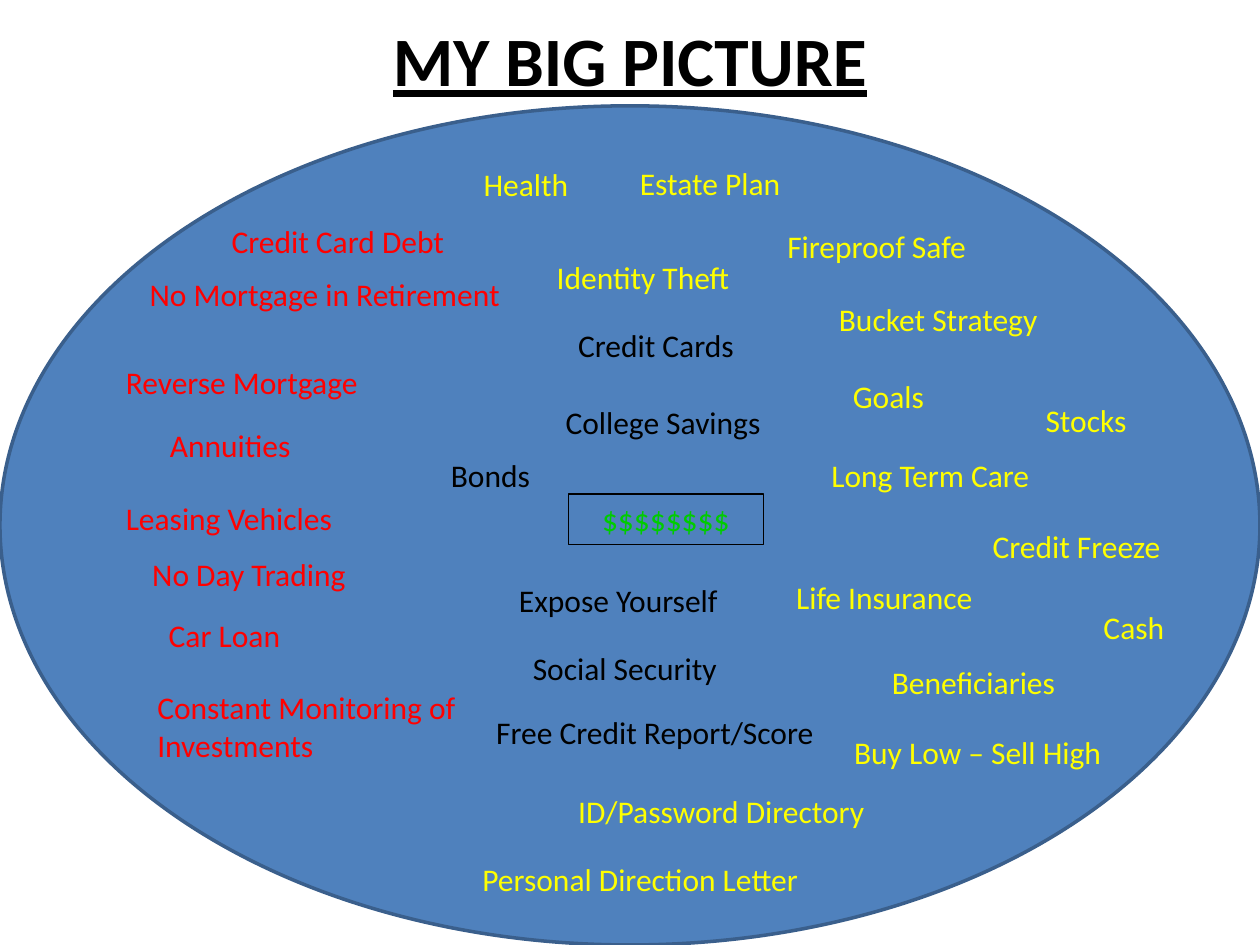
"""Build the slide MY BIG PICTURE: financial topics scattered over a large ellipse."""
from pptx import Presentation
from pptx.dml.color import RGBColor
from pptx.enum.shapes import MSO_SHAPE
from pptx.enum.text import MSO_ANCHOR, MSO_AUTO_SIZE, PP_ALIGN
from pptx.util import Inches, Pt

THEME = {
    "font": "Calibri",
    "title_size": 39.6,
    "topic_size": 18,
    "ink": RGBColor.from_string("000000"),
    "ellipse": RGBColor.from_string("4F81BD"),
    "ellipse_edge": RGBColor.from_string("3A5F8C"),
    "avoid": RGBColor.from_string("FF0000"),
    "plan": RGBColor.from_string("FFFF00"),
    "money": RGBColor.from_string("00CC00"),
}
LINE_HEIGHT = 0.4

TOPICS = {
    "avoid": [
        ("Credit Card Debt", 1.74, 1.71, 2.19),
        ("No Mortgage in Retirement", 1.09, 2.13, 3.17),
        ("Reverse Mortgage", 0.9, 2.83, 2.19),
        ("Annuities", 1.25, 3.33, 1.25),
        ("Leasing Vehicles", 0.9, 3.91, 1.93),
        ("No Day Trading", 1.11, 4.36, 1.99),
        ("Car Loan", 1.24, 4.84, 1.25),
        ("Constant Monitoring of Investments", 1.15, 5.41, 2.92),
    ],
    "ink": [
        ("Credit Cards", 4.49, 2.54, 1.53),
        ("College Savings", 4.39, 3.15, 1.8),
        ("Bonds", 3.48, 3.57, 0.89),
        ("Expose Yourself", 4.02, 4.56, 1.89),
        ("Social Security", 4.13, 5.1, 1.69),
        ("Free Credit Report/Score", 3.84, 5.61, 2.84),
    ],
    "plan": [
        ("Health", 3.74, 1.26, 1.03),
        ("Estate Plan", 4.98, 1.25, 1.58),
        ("Fireproof Safe", 6.15, 1.75, 1.83),
        ("Identity Theft", 4.32, 2, 1.73),
        ("Bucket Strategy", 6.56, 2.33, 1.83),
        ("Goals", 6.67, 2.94, 0.89),
        ("Stocks", 8.2, 3.13, 0.86),
        ("Long Term Care", 6.5, 3.57, 1.89),
        ("Credit Freeze", 7.78, 4.13, 1.7),
        ("Life Insurance", 6.22, 4.54, 1.69),
        ("Cash", 8.66, 4.78, 0.93),
        ("Beneficiaries", 6.98, 5.21, 1.6),
        ("Buy Low – Sell High", 6.68, 5.77, 2.21),
        ("ID/Password Directory", 4.49, 6.24, 3.71),
        ("Personal Direction Letter", 3.73, 6.78, 3.71),
    ],
}


def write(frame, text, size, color, align):
    frame.word_wrap = True
    paragraph = frame.paragraphs[0]
    paragraph.text = text
    paragraph.alignment = align
    paragraph.font.name = THEME["font"]
    paragraph.font.size = Pt(size)
    paragraph.font.color.rgb = color
    return paragraph


presentation = Presentation()
presentation.slide_width = Inches(10)
presentation.slide_height = Inches(7.5)
slide = presentation.slides.add_slide(presentation.slide_layouts[5])

title = slide.shapes.title
title.left, title.top = Inches(0.5), Inches(0.08)
title.width, title.height = Inches(9), Inches(0.78)
title.text_frame.vertical_anchor = MSO_ANCHOR.MIDDLE
heading = write(title.text_frame, "MY BIG PICTURE", THEME["title_size"],
                THEME["ink"], PP_ALIGN.CENTER)
heading.font.bold = True
heading.font.underline = True

big_picture = slide.shapes.add_shape(
    MSO_SHAPE.OVAL, Inches(0), Inches(0.84), Inches(10), Inches(6.66))
big_picture.shadow.inherit = False
big_picture.fill.solid()
big_picture.fill.fore_color.rgb = THEME["ellipse"]
big_picture.line.color.rgb = THEME["ellipse_edge"]
big_picture.line.width = Pt(2)

for group, topics in TOPICS.items():
    for text, left, top, width in topics:
        topic = slide.shapes.add_textbox(
            Inches(left), Inches(top), Inches(width), Inches(LINE_HEIGHT))
        write(topic.text_frame, text, THEME["topic_size"], THEME[group], PP_ALIGN.LEFT)
        topic.text_frame.auto_size = MSO_AUTO_SIZE.SHAPE_TO_FIT_TEXT
        if text.startswith("Constant"):
            topic.height = Inches(0.71)

money = slide.shapes.add_shape(
    MSO_SHAPE.RECTANGLE, Inches(4.51), Inches(3.92), Inches(1.55), Inches(LINE_HEIGHT))
money.shadow.inherit = False
money.fill.background()
money.line.color.rgb = THEME["ink"]
money.line.width = Pt(0.75)
write(money.text_frame, "$" * 8, THEME["topic_size"], THEME["money"], PP_ALIGN.CENTER)
money.text_frame.vertical_anchor = MSO_ANCHOR.TOP
money.text_frame.auto_size = MSO_AUTO_SIZE.SHAPE_TO_FIT_TEXT

presentation.save("out.pptx")
